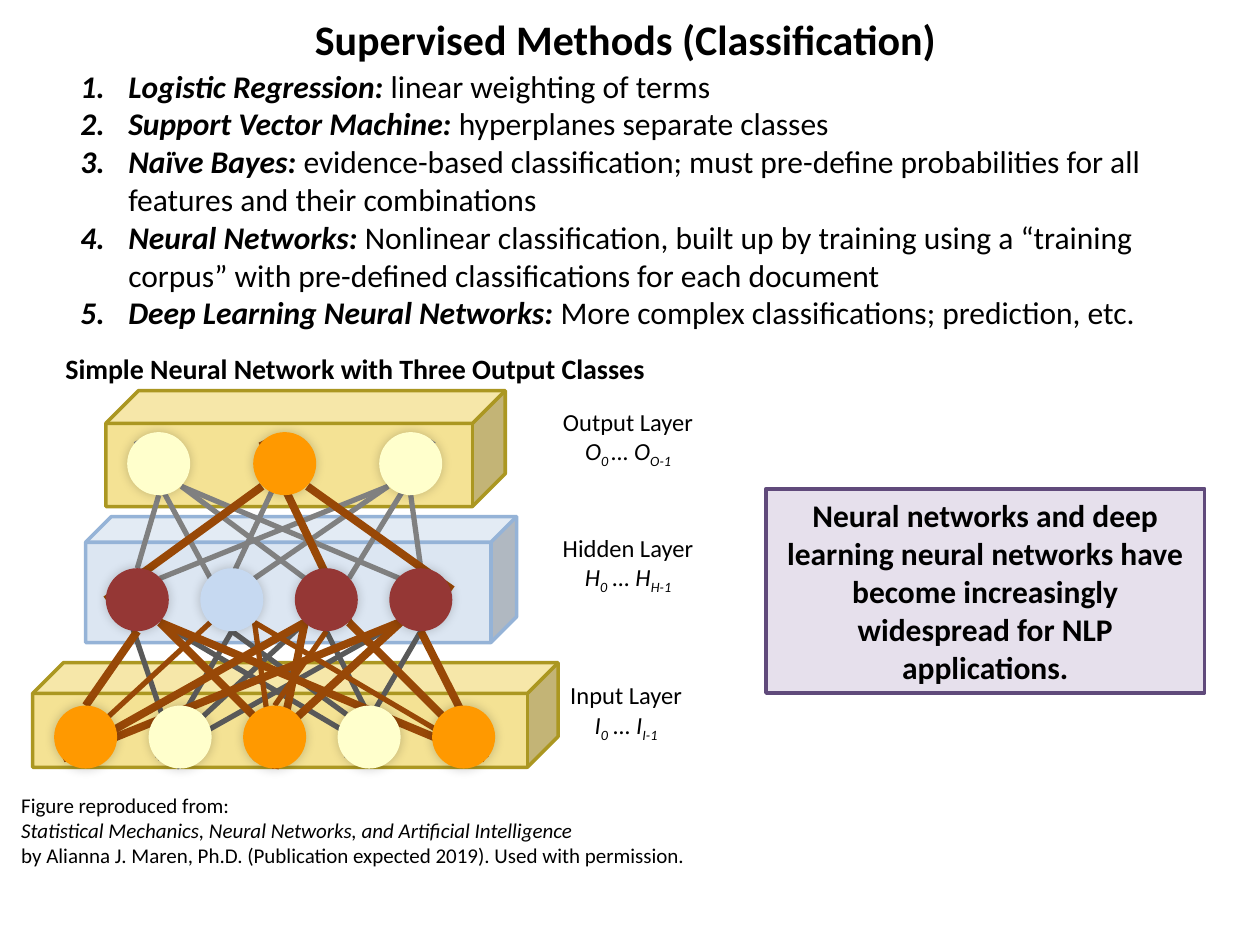
from lxml import etree
from pptx import Presentation
from pptx.dml.color import RGBColor
from pptx.enum.shapes import MSO_CONNECTOR, MSO_SHAPE
from pptx.enum.text import MSO_ANCHOR, MSO_AUTO_SIZE, PP_ALIGN
from pptx.oxml.ns import qn
from pptx.util import Inches, Pt

CUBE, OVAL, RECT = MSO_SHAPE.CUBE, MSO_SHAPE.OVAL, MSO_SHAPE.RECTANGLE
STRAIGHT = MSO_CONNECTOR.STRAIGHT
LEFT, CENTER = PP_ALIGN.LEFT, PP_ALIGN.CENTER
MIDDLE, GROW = MSO_ANCHOR.MIDDLE, MSO_AUTO_SIZE.SHAPE_TO_FIT_TEXT

THEME = {
    "font": "Calibri", "text": "000000",
    "title": 24, "body": 18, "heading": 16, "label": 14, "source": 12,
    "gold": "F4E294", "gold_line": "AB9721", "blue": "DCE6F2", "blue_line": "95B3D7",
    "brown": "984807", "gray": "808080", "dark": "595959",
    "orange": "FF9900", "cream": "FFFFCC", "red": "953735", "pale": "C6D9F1",
    "callout": "E6E0EC", "callout_line": "604A7B",
}


def color(name):
    return RGBColor.from_string(THEME[name])


def write(sp, paragraphs, size, align=LEFT, wrap=True):
    tf = sp.text_frame
    tf.word_wrap = wrap
    tf.auto_size = GROW
    for i, runs in enumerate(paragraphs):
        p = tf.paragraphs[0] if i == 0 else tf.add_paragraph()
        p.alignment = align
        for text, style in runs:
            r = p.add_run()
            r.text = text
            r.font.name = THEME["font"]
            r.font.size = Pt(THEME[size])
            r.font.color.rgb = color("text")
            r.font.bold = "b" in style
            r.font.italic = "i" in style
            if "s" in style:
                r.font._element.set("baseline", "-25000")
    return tf


prs = Presentation()
prs.slide_width, prs.slide_height = Inches(10), Inches(7.5)
s = prs.slides.add_slide(prs.slide_layouts[6])

layers = [
    (0.26, 5.26, 4.17, 0.83, 0.294, "gold"),
    (0.84, 3.1, 3.17, 0.92, 0.283, "gold"),
    (0.68, 4.1, 3.42, 1, 0.204, "blue"),
]
for x, y, w, h, depth, fill in layers:
    sp = s.shapes.add_shape(CUBE, Inches(x), Inches(y), Inches(w), Inches(h))
    sp.shadow.inherit = False
    sp.adjustments[0] = depth
    sp.fill.solid()
    sp.fill.fore_color.rgb = color(fill)
    sp.line.color.rgb = color(fill + "_line")
    sp.line.width = Pt(2)

weights = [
    ("gray", 3, [
        (1.67, 4.94, 2.34, 3.51), (1.09, 4.51, 1.26, 3.93), (1.67, 4.59, 1.08, 3.5),
        (2.02, 4.59, 3.08, 3.86), (3.26, 3.93, 3.34, 4.51), (1.44, 3.86, 3.17, 4.59),
        (2.77, 4.59, 3.44, 3.5), (1.27, 4.59, 3.08, 3.86), (2.42, 4.59, 1.44, 3.86)]),
    ("dark", 3, [
        (2.35, 6.02, 1.27, 4.94), (2.75, 5.67, 1.84, 5.01), (1.25, 6.02, 1.84, 5.01),
        (1.25, 6.02, 2.42, 4.94), (1.25, 6.02, 3.17, 4.94), (0.92, 4.59, 1.43, 6.1),
        (3.1, 6.02, 2.59, 5.01), (2.75, 6.02, 3.34, 5.01), (3.1, 6.02, 1.27, 4.94)]),
    ("brown", 3, [
        (0.5, 6.02, 1.67, 4.94), (2.59, 5.01, 2.18, 5.6),
        (2.02, 4.94, 2.18, 6.1), (2.02, 4.94, 3.85, 6.02)]),
    ("brown", 4.5, [
        (2.08, 3.86, 0.84, 4.76), (3.59, 4.68, 2.44, 3.86), (0.5, 6.02, 2.42, 4.94),
        (0.68, 5.6, 1.09, 5.01), (0.5, 6.02, 3.17, 4.94), (3.19, 4.93, 2, 6.02),
        (1.27, 4.94, 2.35, 6.02), (2.42, 4.94, 2.18, 6.1), (1.27, 4.94, 3.85, 6.02),
        (3.34, 5.01, 3.85, 6.02), (2.77, 4.94, 3.85, 6.02), (2.77, 4.94, 2.08, 3.5)]),
]
for stroke, width, lines in weights:
    for ends in lines:
        cn = s.shapes.add_connector(STRAIGHT, *[Inches(v) for v in ends])
        cn.line.color.rgb = color(stroke)
        cn.line.width = Pt(width)
        etree.SubElement(cn._element.spPr, qn("a:effectLst"))

nodes = [
    (0.43, 5.6, 0.75, ["orange", "cream", "orange", "cream", "orange"]),
    (0.84, 4.51, 0.75, ["red", "pale", "red", "red"]),
    (1.01, 3.43, 1, ["cream", "orange", "cream"]),
]
for left, top, step, fills in nodes:
    for i, fill in enumerate(fills):
        sp = s.shapes.add_shape(OVAL, Inches(left + i * step), Inches(top), Inches(0.5), Inches(0.5))
        sp.fill.solid()
        sp.fill.fore_color.rgb = color(fill)
        sp.line.fill.background()
        sp.shadow.inherit = False
        effects = sp._element.spPr.find(qn("a:effectLst"))
        shadow = etree.SubElement(effects, qn("a:outerShdw"), blurRad=str(Pt(6)), dist="0",
                                  dir="18900000", rotWithShape="0")
        tint = etree.SubElement(shadow, qn("a:srgbClr"), val=THEME["text"])
        etree.SubElement(tint, qn("a:alpha"), val="20000")

labels = [
    (4.36, 3.18, 1.25, "Output Layer", [("O", "i"), ("0 ", "is"), ("… O", "i"), ("O-1", "is")]),
    (4.36, 4.18, 1.25, "Hidden Layer", [("H", "i"), ("0", "is"), (" … H", "i"), ("H-1", "is")]),
    (4.42, 5.35, 1.1, "Input Layer", [("I", "i"), ("0", "is"), (" … I", "i"), ("I-1", "is")]),
]
for x, y, w, name, units in labels:
    sp = s.shapes.add_textbox(Inches(x), Inches(y), Inches(w), Inches(0.57))
    write(sp, [[(name, "")], units], "label", CENTER, False)

sp = s.shapes.add_textbox(Inches(0.07), Inches(6.24), Inches(5.53), Inches(0.71))
write(sp, [
    [("Figure reproduced from:", "")],
    [("Statistical Mechanics, Neural Networks, and Artificial Intelligence", "i")],
    [("by Alianna J. Maren, Ph.D. (Publication expected 2019). Used with permission.", "")],
], "source")

sp = s.shapes.add_textbox(Inches(2.4), Inches(0.06), Inches(5.19), Inches(0.5))
write(sp, [[("Supervised Methods (Classification)", "b")]], "title", wrap=False)

methods = [
    ("Logistic Regression:", " linear weighting of terms"),
    ("Support Vector Machine: ", "hyperplanes separate classes"),
    ("Naïve Bayes: ", "evidence-based classification; must pre-define probabilities "
     "for all features and their combinations"),
    ("Neural Networks: ", "Nonlinear classification, built up by training using a “training corpus” "
     "with pre-defined classifications for each document"),
    ("Deep Learning Neural Networks: ", "More complex classifications; prediction, etc."),
]
sp = s.shapes.add_textbox(Inches(0.54), Inches(0.48), Inches(8.92), Inches(2.22))
tf = write(sp, [[(name, "bi"), (detail, "")] for name, detail in methods], "body")
for p in tf.paragraphs:
    pPr = p._p.get_or_add_pPr()
    pPr.set("marL", str(Inches(0.38)))
    pPr.set("indent", str(-Inches(0.38)))
    etree.SubElement(pPr, qn("a:buFont"), typeface="+mj-lt")
    etree.SubElement(pPr, qn("a:buAutoNum"), type="arabicPeriod")

sp = s.shapes.add_textbox(Inches(0.42), Inches(2.74), Inches(4.85), Inches(0.37))
write(sp, [[("Simple Neural Network with Three Output Classes", "b")]], "heading", wrap=False)

sp = s.shapes.add_shape(RECT, Inches(6.08), Inches(3.88), Inches(3.48), Inches(1.62))
sp.shadow.inherit = False
sp.fill.solid()
sp.fill.fore_color.rgb = color("callout")
sp.line.color.rgb = color("callout_line")
sp.line.width = Pt(2.25)
tf = write(sp, [[("Neural networks and deep learning neural networks have become increasingly "
                  "widespread for NLP applications.", "b")]], "body", CENTER)
tf.vertical_anchor = MIDDLE

prs.save("out.pptx")
